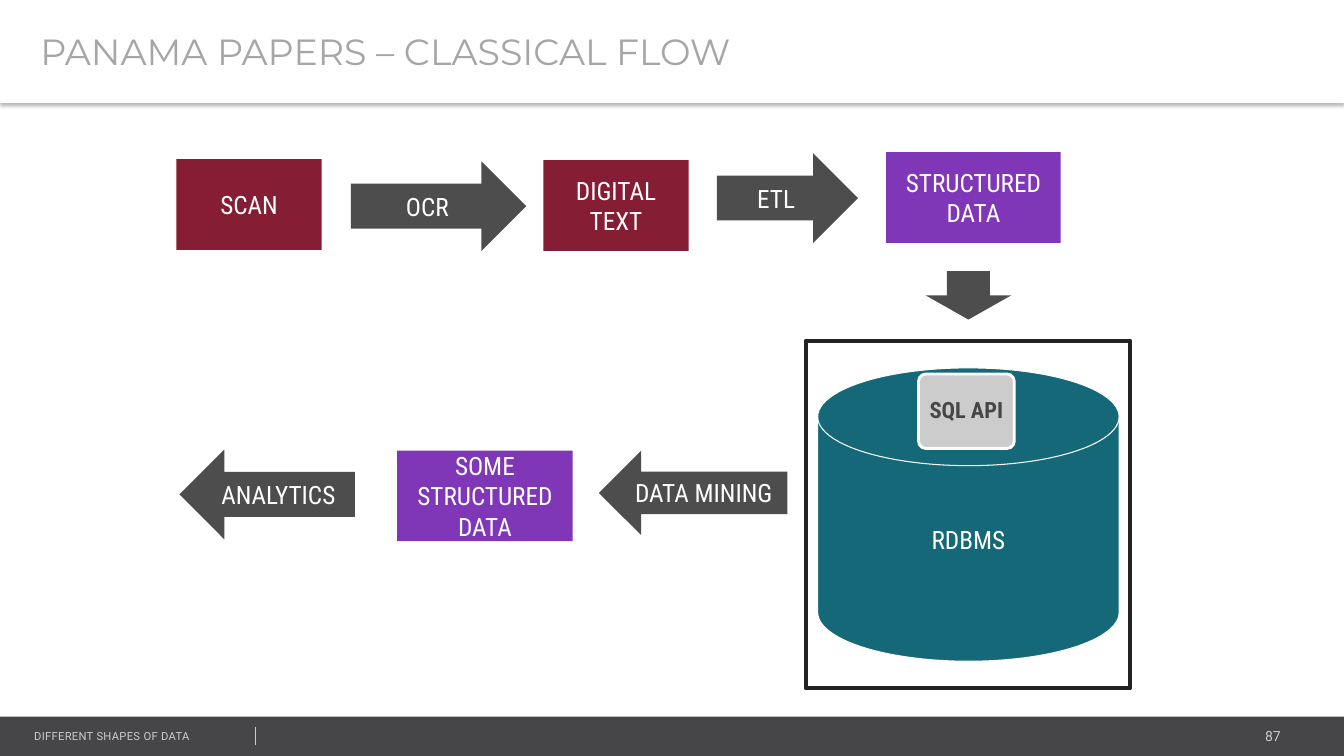
from lxml import etree
from pptx import Presentation
from pptx.dml.color import RGBColor
from pptx.enum.shapes import MSO_CONNECTOR, MSO_SHAPE
from pptx.enum.text import MSO_ANCHOR, MSO_AUTO_SIZE, PP_ALIGN
from pptx.oxml import parse_xml
from pptx.oxml.ns import nsdecls, qn
from pptx.util import Inches, Pt

RECT, ROUNDED = MSO_SHAPE.RECTANGLE, MSO_SHAPE.ROUNDED_RECTANGLE
RIGHT, LEFT, DOWN = MSO_SHAPE.RIGHT_ARROW, MSO_SHAPE.LEFT_ARROW, MSO_SHAPE.DOWN_ARROW
DISK = MSO_SHAPE.FLOWCHART_MAGNETIC_DISK
TO_LEFT, TO_CENTER, TO_RIGHT = PP_ALIGN.LEFT, PP_ALIGN.CENTER, PP_ALIGN.RIGHT

WIDTH, HEIGHT = 13.33, 7.5
HEADER_H, FOOTER_TOP = 1.02, 7.11
WHITE, PALE, CHARCOAL, ARROW = "FFFFFF", "CCCCCC", "464547", "4D4D4D"
WINE, PURPLE, TEAL = "851D34", "8037B7", "146878"

prs = Presentation()
prs.slide_width, prs.slide_height = Inches(WIDTH), Inches(HEIGHT)
slide = prs.slides.add_slide(prs.slide_layouts[5])


def add_block(kind, box, fill=None, line=None, line_width=0):
    """Add a preset shape without shadow; no colour means no fill or no line."""
    block = slide.shapes.add_shape(kind, *map(Inches, box))
    block.shadow.inherit = False
    if fill:
        block.fill.solid()
        block.fill.fore_color.rgb = RGBColor.from_string(fill)
    else:
        block.fill.background()
    if line:
        block.line.color.rgb = RGBColor.from_string(line)
        block.line.width = Pt(line_width)
    else:
        block.line.fill.background()
    return block


def write(holder, text, size, font, color, align=TO_CENTER, bold=False):
    frame = holder.text_frame
    frame.word_wrap = True
    frame.vertical_anchor = MSO_ANCHOR.MIDDLE
    paragraph = frame.paragraphs[0]
    paragraph.alignment = align
    run = paragraph.add_run()
    run.text = text
    run.font.size, run.font.name, run.font.bold = Pt(size), font, bold
    run.font.color.rgb = RGBColor.from_string(color)
    return run


# Header
title = slide.shapes.title
title.left, title.top = 0, 0
title.width, title.height = Inches(WIDTH), Inches(HEADER_H)
title.fill.solid()
title.fill.fore_color.rgb = RGBColor.from_string(WHITE)
title.shadow.inherit = False
title._element.spPr.find(qn("a:effectLst")).append(parse_xml(
    f'<a:outerShdw {nsdecls("a")} blurRad="39370" dist="25400" dir="5400000" rotWithShape="0">'
    '<a:srgbClr val="000000"><a:alpha val="30000"/></a:srgbClr></a:outerShdw>'))
write(title, "PANAMA PAPERS – CLASSICAL FLOW", 26, "Montserrat", "A6A6A6", TO_LEFT)
title.text_frame.margin_left = Inches(0.4)
title.text_frame.auto_size = MSO_AUTO_SIZE.NONE

# Footer
add_block(RECT, (0, FOOTER_TOP, WIDTH, HEIGHT - FOOTER_TOP), CHARCOAL)
for text, box, size, align in (
    ("87", (10.62, 7.17, 2.18, 0.27), 10, TO_RIGHT),
    ("DIFFERENT SHAPES OF DATA", (0.24, 7.18, 3.38, 0.24), 8, TO_LEFT),
):
    note = slide.shapes.add_textbox(*map(Inches, box))
    run = write(note, text, size, "Roboto", PALE, align)
    if align == TO_LEFT:
        run.font._element.set("spc", "20")
divider = slide.shapes.add_connector(
    MSO_CONNECTOR.STRAIGHT, *map(Inches, (2.53, 7.21, 2.53, 7.39)))
divider.line.color.rgb = RGBColor.from_string(PALE)
divider.line.width = Pt(0.25)
etree.SubElement(divider._element.spPr, qn("a:effectLst"))

# Flow: scan to database on the top row, database to analytics on the lower row
for text, kind, box, fill in (
    ("SCAN", RECT, (1.75, 1.58, 1.44, 0.9), WINE),
    ("OCR", RIGHT, (3.48, 1.6, 1.74, 0.89), ARROW),
    ("DIGITAL TEXT", RECT, (5.39, 1.59, 1.44, 0.9), WINE),
    ("ETL", RIGHT, (7.11, 1.52, 1.4, 0.89), ARROW),
    ("STRUCTURED DATA", RECT, (8.79, 1.51, 1.73, 0.9), PURPLE),
    ("", DOWN, (9.18, 2.69, 0.85, 0.48), ARROW),
    ("RDBMS", DISK, (8.11, 3.65, 2.99, 2.91), TEAL),
    ("DATA MINING", LEFT, (5.94, 4.47, 1.87, 0.84), ARROW),
    ("SOME STRUCTURED DATA", RECT, (3.94, 4.47, 1.74, 0.9), PURPLE),
    ("ANALYTICS", LEFT, (1.78, 4.46, 1.74, 0.89), ARROW),
):
    outline = WHITE if kind == DISK else None
    step = add_block(kind, box, fill, outline, 0.75)
    if text:
        write(step, text, 18, "Roboto Condensed", WHITE)

# Database frame and its interface
add_block(RECT, (7.99, 3.38, 3.22, 3.45), line="232324", line_width=2.75)
interface = add_block(ROUNDED, (9.11, 3.71, 0.95, 0.74), PALE, WHITE, 2)
interface.adjustments[0] = 0.1
write(interface, "SQL API", 16, "Roboto Condensed", CHARCOAL, bold=True)
interface.text_frame.margin_left = interface.text_frame.margin_right = Inches(0.04)
interface.text_frame.paragraphs[0].line_spacing = 0.9

prs.save("out.pptx")
